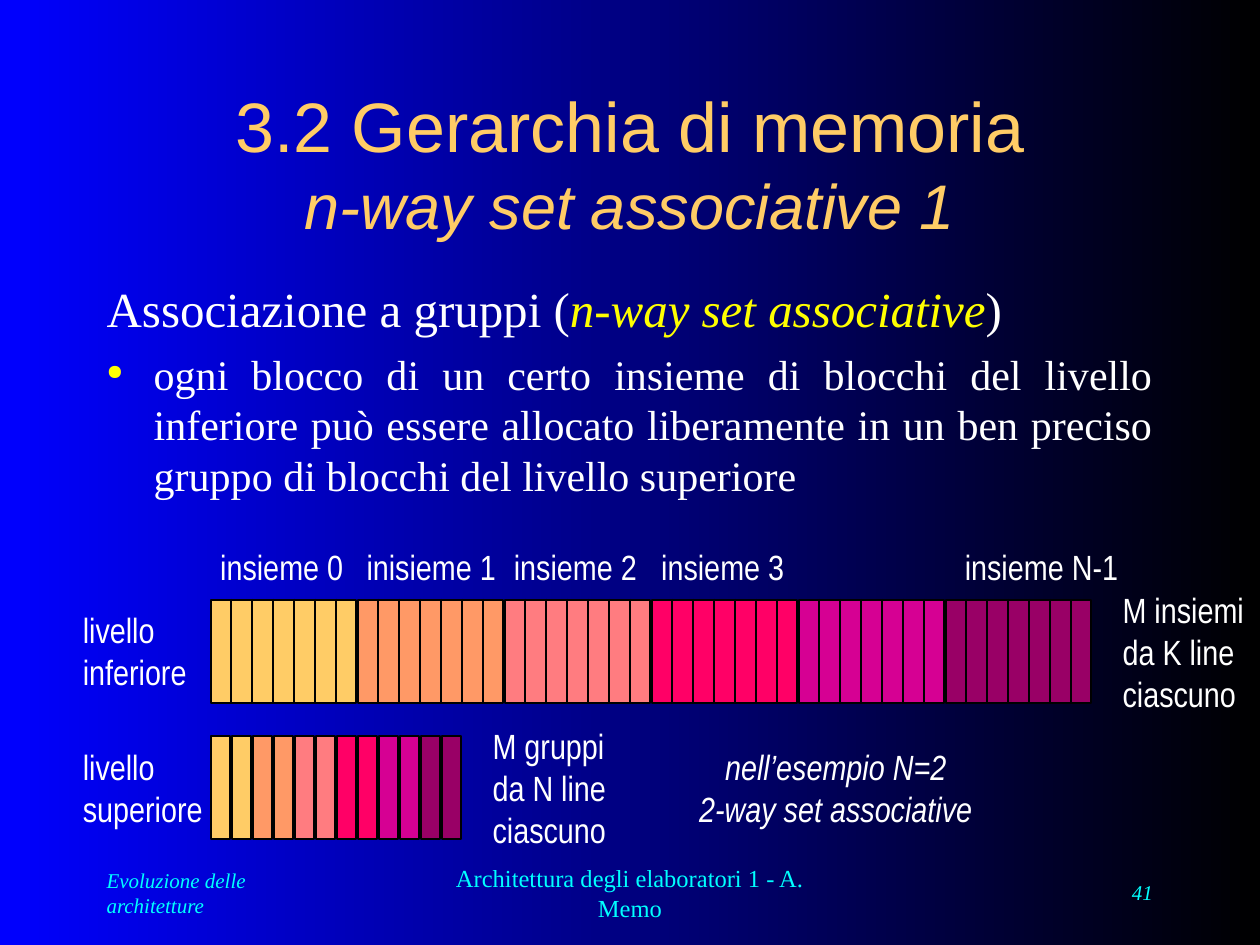
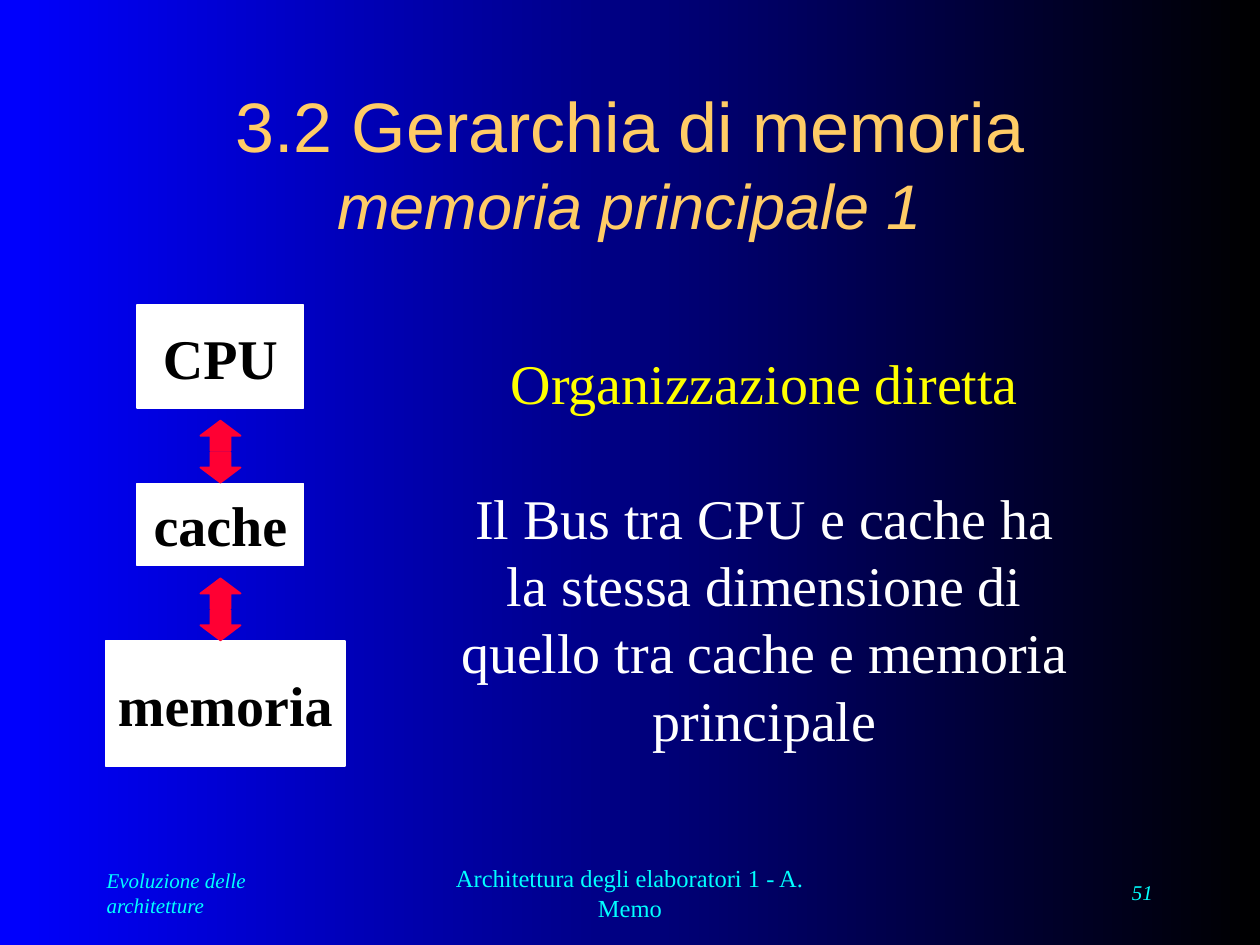
import pptx
import pptx.dml.color
import pptx.enum.shapes
import pptx.enum.text
import pptx.oxml.ns
import pptx.util
from lxml import etree

Cm = pptx.util.Cm
Pt = pptx.util.Pt
SHAPE = pptx.enum.shapes.MSO_SHAPE
ANCHOR = pptx.enum.text.MSO_ANCHOR
ALIGN = {
    "left": pptx.enum.text.PP_ALIGN.LEFT,
    "center": pptx.enum.text.PP_ALIGN.CENTER,
    "right": pptx.enum.text.PP_ALIGN.RIGHT,
    "justify": pptx.enum.text.PP_ALIGN.JUSTIFY,
}

# Shared content and style
TITLE = "3.2 Gerarchia di memoria"
FOOTERS = ("Evoluzione delle architetture", "Architettura degli elaboratori 1 - A. Memo")
SERIF, SANS, NARROW = "Times New Roman", "Arial", "Arial Narrow"
WHITE, BLACK, YELLOW = "FFFFFF", "000000", "FFFF00"
GOLD, CYAN, RED = "FFCC66", "00FFFF", "FF0033"
BACKGROUND = ("0000FF", BLACK)

# Set-associative slide
HEADING = [
    ("Associazione a gruppi (", {}),
    ("n-way set associative", {"color": YELLOW, "italic": True}),
    (")", {}),
]
RULE = ("ogni blocco di un certo insieme di blocchi del livello inferiore può essere "
        "allocato liberamente in un ben preciso gruppo di blocchi del livello superiore")
SET_COLORS = [GOLD, "FF9966", "FF7C80", "FF0066", "D60093", "990066"]
LINES_PER_SET, LINES_PER_GROUP = 7, 2
STRIP_LEFT, LOWER_TOP, UPPER_TOP = 4.23, 12.07, 14.82
LINE_WIDTH, LINE_HEIGHT, INSET = 2.54 / 6, 2.12, 0.02
LABELS = [  # lines, left, top, width, height, format
    (["insieme 0"], 4.19, 10.87, 3, 1.09, {}),
    (["inisieme 1"], 7.14, 10.87, 3.12, 1.09, {}),
    (["insieme 2"], 10.11, 10.87, 3, 1.09, {}),
    (["insieme 3"], 13.08, 10.87, 3, 1.09, {}),
    (["insieme N-1"], 19.2, 10.87, 3.61, 1.09, {}),
    (["livello", "inferiore"], 1.42, 12.14, 2.62, 1.96, {}),
    (["livello", "superiore"], 1.42, 14.91, 2.92, 1.96, {}),
    (["M insiemi", "da K line", "ciascuno"], 22.38, 11.73, 2.97, 2.79, {}),
    (["M gruppi", "da N line", "ciascuno"], 9.68, 14.48, 2.79, 2.79, {}),
    (["nell’esempio N=2", "2-way set associative"], 13.84, 14.91, 6.02, 1.96,
     {"italic": True, "align": "center"}),
]

# Main memory slide
UNITS = [  # name, left, top, width, height
    ("CPU", 2.77, 6.15, 3.35, 2.08),
    ("cache", 2.77, 9.75, 3.35, 1.65),
    ("memoria", 2.13, 12.93, 4.83, 2.51),
]
BUS_LEFT, BUS_TOPS, BUS_WIDTH, ARROW_HEIGHT, ARROW_STEP = 4.04, (8.48, 11.66), 0.81, 0.61, 0.64
ORGANIZATION = "Organizzazione diretta"
BUS_NOTE = ["Il Bus tra CPU e cache ha", "la stessa dimensione di",
            "quello tra cache e memoria", "principale"]


def rgb(color):
    return pptx.dml.color.RGBColor.from_string(color)


def write(frame, paragraphs, size=20, font=NARROW, color=WHITE, bold=False, italic=False,
          align="left", anchor=ANCHOR.TOP, wrap=False):
    """Fill a frame; a paragraph is a string or a list of (text, changes) runs."""
    frame.word_wrap = wrap
    frame.vertical_anchor = anchor
    base = dict(size=size, font=font, color=color, bold=bold, italic=italic)
    for index, content in enumerate(paragraphs):
        paragraph = frame.paragraphs[0] if index == 0 else frame.add_paragraph()
        paragraph.alignment = ALIGN[align]
        runs = [(content, {})] if isinstance(content, str) else content
        for text, changes in runs:
            if text == "\n":
                paragraph.add_line_break()
                continue
            style = {**base, **changes}
            run = paragraph.add_run()
            run.text = text
            run.font.size = Pt(style["size"])
            run.font.name = style["font"]
            run.font.color.rgb = rgb(style["color"])
            run.font.bold = style["bold"]
            run.font.italic = style["italic"]


def add_text(slide, paragraphs, left, top, width, height, **style):
    box = slide.shapes.add_textbox(Cm(left), Cm(top), Cm(width), Cm(height))
    write(box.text_frame, paragraphs, **style)
    return box.text_frame


def add_block(shapes, kind, left, top, width, height, fill, line):
    block = shapes.add_shape(kind, Cm(left), Cm(top), Cm(width), Cm(height))
    block.shadow.inherit = False
    block.fill.solid()
    block.fill.fore_color.rgb = rgb(fill)
    block.line.color.rgb = rgb(line)
    block.line.width = Pt(1)
    return block


def add_divider(slide, x, top):
    divider = slide.shapes.add_connector(
        pptx.enum.shapes.MSO_CONNECTOR.STRAIGHT, Cm(x), Cm(top), Cm(x), Cm(top + LINE_HEIGHT))
    divider.line.color.rgb = rgb(BLACK)
    divider.line.width = Pt(1)
    etree.SubElement(divider._element.spPr, pptx.oxml.ns.qn("a:effectLst"))


def add_cells(slide, first, count, top, color):
    """Draw one rectangle as wide as count memory lines, from line number first."""
    add_block(slide.shapes, SHAPE.RECTANGLE, STRIP_LEFT + first * LINE_WIDTH + INSET, top + INSET,
              count * LINE_WIDTH - 2 * INSET, LINE_HEIGHT - 2 * INSET, color, BLACK)


def set_bullet(paragraph, char, color, percent, indent):
    properties = paragraph._p.get_or_add_pPr()
    properties.set("marL", str(Cm(indent)))
    properties.set("indent", str(-Cm(indent)))
    if char:
        qn = pptx.oxml.ns.qn
        tint = etree.SubElement(properties, qn("a:buClr"))
        etree.SubElement(tint, qn("a:srgbClr"), val=color)
        etree.SubElement(properties, qn("a:buSzPct"), val=str(percent * 1000))
        etree.SubElement(properties, qn("a:buChar"), char=char)


def add_base_slide(deck, subtitle, number):
    """Add a slide with the shared background, title and footers."""
    slide = deck.slides.add_slide(deck.slide_layouts[6])
    fill = slide.background.fill
    fill.gradient()
    fill.gradient_angle = 0
    for stop, color in zip(fill.gradient_stops, BACKGROUND):
        stop.color.rgb = rgb(color)
    footer = dict(font=SERIF, color=CYAN, anchor=ANCHOR.MIDDLE)
    add_text(slide, [FOOTERS[0]], 1.9, 17.36, 5.29, 1.27, size=12, italic=True, **footer)
    add_text(slide, [FOOTERS[1]], 8.68, 17.36, 8.04, 1.27, size=14, align="center", **footer)
    add_text(slide, [str(number)], 18.2, 17.36, 5.29, 1.27, size=12, italic=True,
             align="right", **footer)
    title = [(TITLE, {}), ("\n", {}), (subtitle, {"size": 36, "italic": True})]
    add_text(slide, [title], 1.9, 1.69, 21.59, 3.18, size=40, font=SANS, color=GOLD,
             align="center", anchor=ANCHOR.MIDDLE, wrap=True)
    return slide


def build_set_associative(deck):
    slide = add_base_slide(deck, "n-way set associative 1", 41)
    body = add_text(slide, [HEADING, [(RULE, {"size": 24})]], 1.9, 5.5, 21.59, 6.56,
                    size=28, font=SERIF, align="justify", wrap=True)
    heading, rule = body.paragraphs
    set_bullet(heading, None, None, None, 0.95)
    rule.space_before = Pt(6)
    set_bullet(rule, "●", YELLOW, 50, 0.95)

    for index, color in enumerate(SET_COLORS):
        first = index * LINES_PER_SET
        add_cells(slide, first, LINES_PER_SET, LOWER_TOP, color)
        for line in range(first + 1, first + LINES_PER_SET):
            add_divider(slide, STRIP_LEFT + line * LINE_WIDTH, LOWER_TOP)
        for way in range(LINES_PER_GROUP):
            add_cells(slide, index * LINES_PER_GROUP + way, 1, UPPER_TOP, color)
    for lines, left, top, width, height, style in LABELS:
        add_text(slide, lines, left, top, width, height, **style)


def build_main_memory(deck):
    slide = add_base_slide(deck, "memoria principale 1", 51)
    for name, *place in UNITS:
        unit = add_block(slide.shapes, SHAPE.RECTANGLE, *place, WHITE, WHITE)
        write(unit.text_frame, [name], size=32, font=SERIF, color=BLACK, bold=True,
              align="center", anchor=ANCHOR.MIDDLE)
    for top in BUS_TOPS:
        bus = slide.shapes.add_group_shape()
        for step, arrow in enumerate((SHAPE.UP_ARROW, SHAPE.DOWN_ARROW)):
            add_block(bus.shapes, arrow, BUS_LEFT, top + step * ARROW_STEP,
                      BUS_WIDTH, ARROW_HEIGHT, RED, RED)
    note = add_text(slide, [[(ORGANIZATION, {"color": YELLOW})], *BUS_NOTE],
                    9.04, 6.91, 12.75, 8.38, size=32, font=SERIF, align="center")
    note.paragraphs[1].space_before = Pt(38.4)


def main():
    deck = pptx.Presentation()
    deck.slide_width, deck.slide_height = Cm(25.4), Cm(19.05)
    build_set_associative(deck)
    build_main_memory(deck)
    deck.save("out.pptx")


if __name__ == "__main__":
    main()
